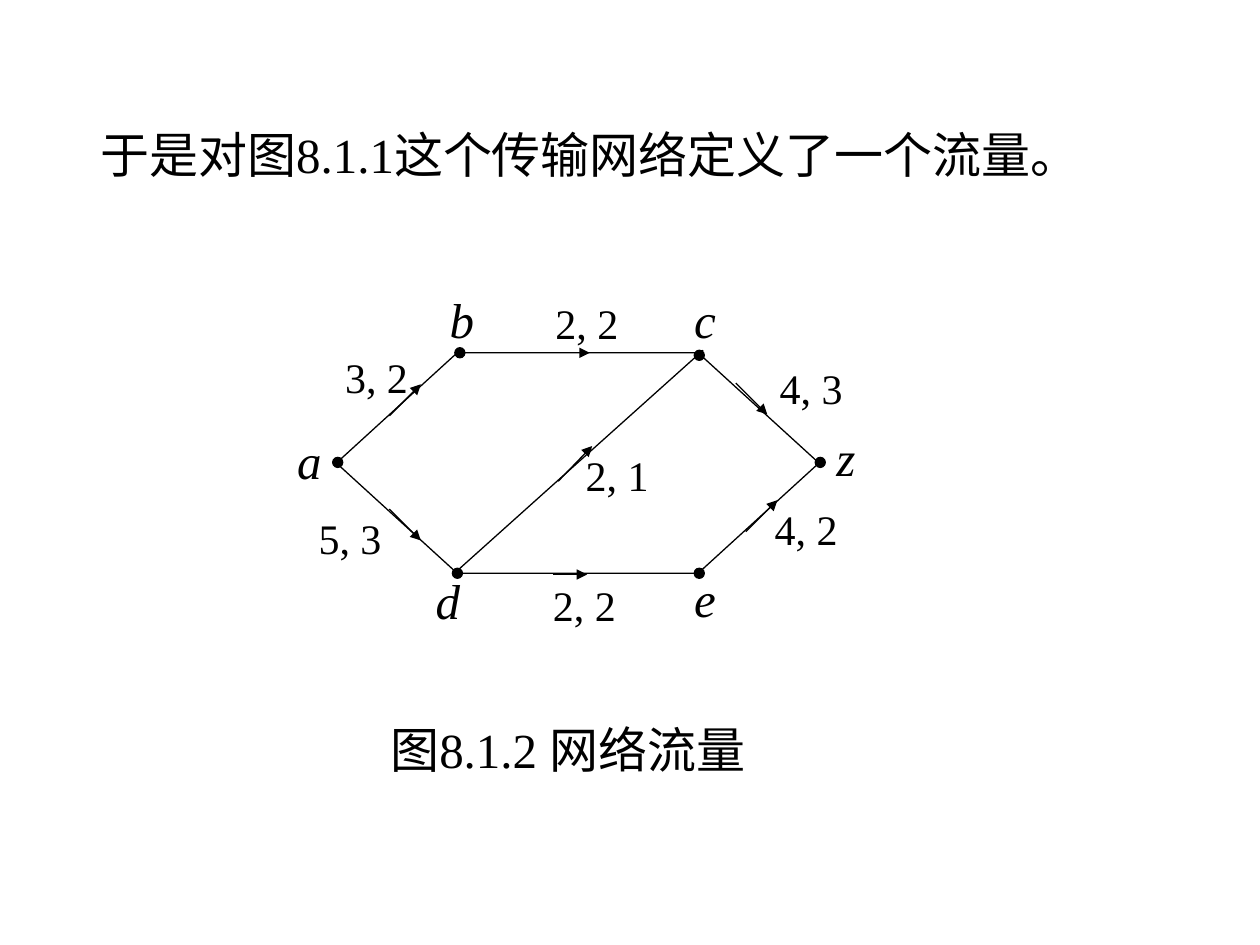
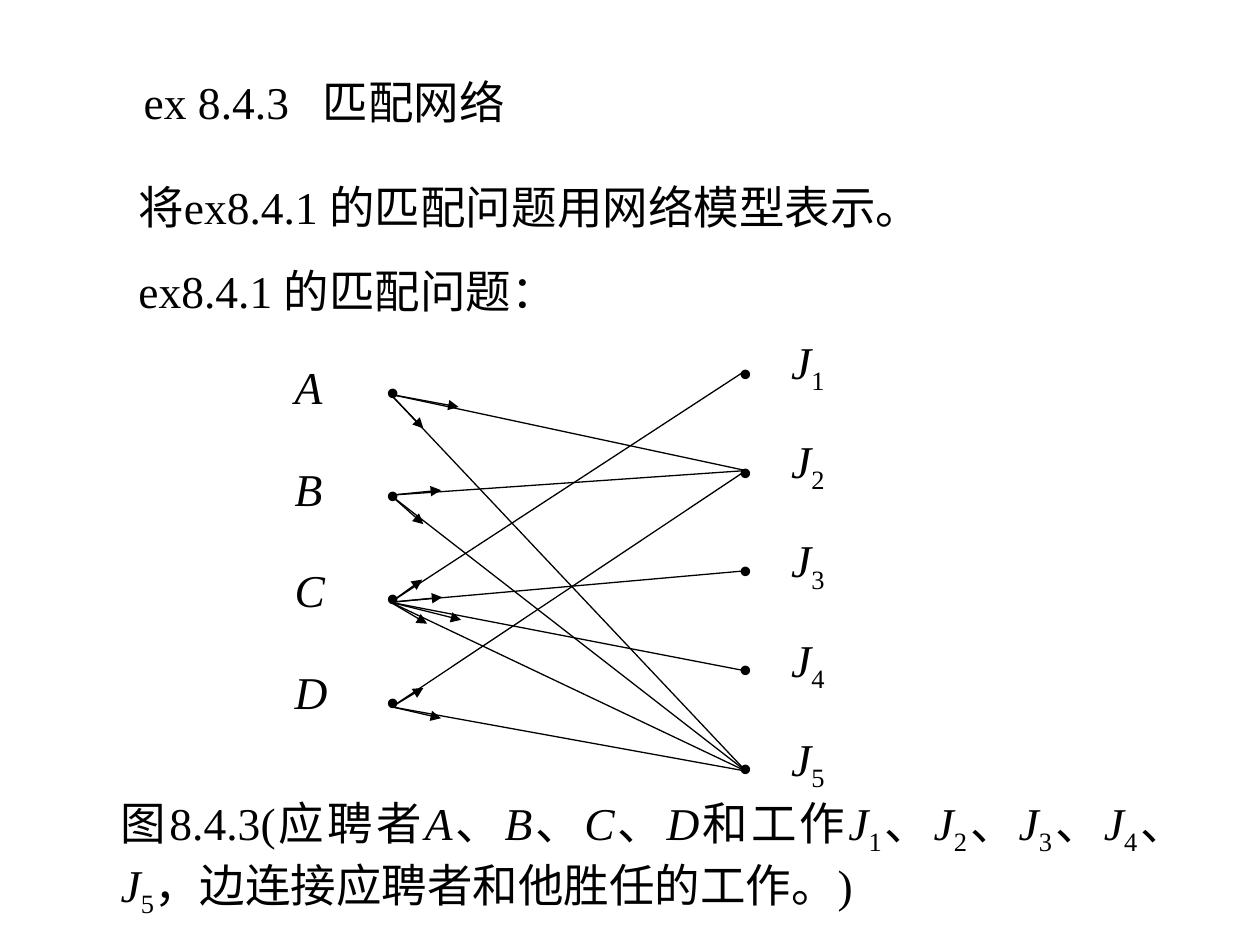
from lxml.etree import SubElement
from pptx import Presentation
from pptx.dml.color import RGBColor
from pptx.enum.shapes import MSO_CONNECTOR, MSO_SHAPE
from pptx.enum.text import MSO_ANCHOR, MSO_AUTO_SIZE, PP_ALIGN
from pptx.oxml.ns import qn
from pptx.util import Inches, Pt

COLORS = {"ink": "000000", "paper": "FFFFFF"}
FONT = "Times New Roman"
COLUMNS, ROWS = 100, 75
TITLE_ONLY, BLANK = 5, 6
COMMA = ("、", "plain")


def color(name):
    return RGBColor.from_string(COLORS[name])


def write(frame, text, size=26, font=FONT, italic=False, align=PP_ALIGN.LEFT,
          wrap=True, tab=None):
    """Fill a text frame with a string or with (text, style) pieces."""
    frame.word_wrap = wrap
    frame.auto_size = MSO_AUTO_SIZE.SHAPE_TO_FIT_TEXT
    frame.vertical_anchor = MSO_ANCHOR.TOP
    paragraph = frame.paragraphs[0]
    paragraph.alignment = align
    if tab:
        stops = SubElement(paragraph._p.get_or_add_pPr(), qn("a:tabLst"))
        SubElement(stops, qn("a:tab"), pos=str(Inches(tab)), algn="l")
    pieces = [(text, "italic" if italic else "plain")] if isinstance(text, str) else text
    for words, style in pieces:
        run = paragraph.add_run()
        run.text = words
        run.font.name, run.font.size = font, Pt(size)
        run.font.italic = style == "italic"
        run.font.color.rgb = color("ink")
        if style == "subscript":
            run._r.get_or_add_rPr().set("baseline", "-25000")


class Deck:
    """Holds the style and the current slide; lengths are columns and rows."""

    def __init__(self):
        self.presentation = Presentation()
        self.presentation.slide_width = Inches(10)
        self.presentation.slide_height = Inches(7.5)
        self.column = self.presentation.slide_width / COLUMNS
        self.row = self.presentation.slide_height / ROWS
        self.slide = None

    def place(self, *lengths):
        return [round(length * unit)
                for length, unit in zip(lengths, (self.column, self.row) * 2)]

    def add_slide(self, layout):
        self.slide = self.presentation.slides.add_slide(
            self.presentation.slide_layouts[layout])
        fill = self.slide.background.fill
        fill.solid()
        fill.fore_color.rgb = color("paper")

    def title(self, text, box, **style):
        shape = self.slide.shapes.title
        shape.left, shape.top, shape.width, shape.height = self.place(*box)
        write(shape.text_frame, text, **style)

    def text(self, text, box, **style):
        shape = self.slide.shapes.add_textbox(*self.place(*box))
        write(shape.text_frame, text, **style)

    def shape(self, kind, box, filled=False):
        shape = self.slide.shapes.add_shape(kind, *self.place(*box))
        shape.shadow.inherit = False
        if filled:
            shape.fill.solid()
            shape.fill.fore_color.rgb = color("ink")
        else:
            shape.fill.background()
        self.outline(shape)
        return shape

    def dot(self, center, size=0.8):
        x, y = center
        self.shape(MSO_SHAPE.OVAL, (x - size / 2, y - size / 2, size, size), filled=True)

    def line(self, start, end, arrow=False):
        connector = self.slide.shapes.add_connector(
            MSO_CONNECTOR.STRAIGHT, *self.place(*start, *end))
        self.outline(connector)
        if arrow:
            SubElement(connector.line._get_or_add_ln(), qn("a:tailEnd"), type="triangle")
        SubElement(connector._element.spPr, qn("a:effectLst"))

    @staticmethod
    def outline(shape):
        shape.line.color.rgb = color("ink")
        shape.line.width = Pt(0.75)


def job(number):
    return [("J", "italic"), (str(number), "subscript")]


def add_flow_slide(deck):
    deck.add_slide(BLANK)

    # Network outline and its diagonal
    network = deck.shape(MSO_SHAPE.HEXAGON, (26.7, 28, 38.3, 17.5))
    network.adjustments[0] = 0.548
    deck.line((36.4, 45.2), (55.8, 27.8))

    # Vertices: dot center, label corner
    vertices = {
        "a": ((26.8, 36.7), (22.6, 33.7)),
        "b": ((36.5, 28), (34.7, 22.5)),
        "c": ((55.5, 28.2), (54.1, 22.5)),
        "d": ((36.3, 45.5), (33.6, 44.8)),
        "e": ((55.5, 45.5), (54.1, 44.6)),
        "z": ((65.1, 36.7), (65.4, 33.4)),
    }
    for name, (center, corner) in vertices.items():
        deck.dot(center)
        deck.text(name, (*corner, 3.9, 5.7), size=28, italic=True, wrap=False)

    # Edges: capacity and flow, label corner, arrow start, arrow run
    up, down, across = (2.5, -2.5), (2.5, 2.5), (2.7, 0)
    edges = [
        ("3, 2", (26.4, 27.4), (30.9, 33), up),
        ("5, 3", (24.3, 40.2), (30.9, 40.4), down),
        ("2, 2", (43.1, 23.1), (44.1, 28), across),
        ("2, 1", (45.5, 35.2), (44.3, 38.2), (2.7, -2.8)),
        ("2, 2", (42.9, 45.5), (43.9, 45.6), across),
        ("4, 3", (60.9, 28.3), (58.4, 30.4), down),
        ("4, 2", (60.5, 39.5), (59.2, 42.2), up),
    ]
    for label, corner, (x, y), (run, rise) in edges:
        deck.line((x, y), (x + run, y + rise), arrow=True)
        deck.text(label, (*corner, 7, 5), size=24, wrap=False)

    # Statement and caption
    deck.text("于是对图8.1.1这个传输网络定义了一个流量。", (7, 9.4, 84.3, 5.7), size=28)
    deck.text("图8.1.2 网络流量", (30, 56.6, 32, 5.7), size=28, wrap=False)


def add_matching_slide(deck):
    deck.add_slide(TITLE_ONLY)

    # Heading and statements
    deck.title("ex 8.4.3\t匹配网络", (10.4, 5.4, 58.9, 5.4), tab=1.42)
    deck.text("将ex8.4.1 的匹配问题用网络模型表示。", (10, 13.7, 83.3, 5.4))
    deck.text("ex8.4.1 的匹配问题：", (10, 20.4, 83.3, 5.4))

    # Applicants on the left, jobs on the right
    applicants, jobs = "ABCD", range(1, 6)
    bullet = {"size": 20, "font": "Arial", "wrap": False}
    for index, name in enumerate(applicants):
        deck.text(name, (22.4, 28 + 8.07 * index, 5, 5.4), italic=True)
        deck.text("•", (29.7, 28.9 + 8.2 * index, 3.1, 4.4), **bullet)
    for index, number in enumerate(jobs):
        deck.text(job(number), (61.8, 26 + 7.88 * index, 7, 6))
        deck.text("•", (57.7, 27.4 + 7.83 * index, 3.1, 4.4), **bullet)

    # Edges: applicant, job, arrow tip
    starts = dict(zip(applicants, [(31, 31.3), (31, 39.3), (31, 47.8), (31.1, 56.1)]))
    edges = [
        ("A", 2, (36.4, 32.3)), ("A", 5, (33.6, 34)),
        ("B", 2, (35, 38.9)), ("B", 5, (33.6, 41.6)),
        ("C", 1, (33.5, 46)), ("C", 3, (35.1, 47.4)),
        ("C", 4, (36.6, 49.2)), ("C", 5, (33.9, 49.5)),
        ("D", 2, (33.6, 54.6)), ("D", 5, (35, 57)),
    ]
    for name, number, tip in edges:
        deck.line(starts[name], (59.2, 29.4 + 7.95 * (number - 1)))
        deck.line(starts[name], tip, arrow=True)

    # Caption
    caption = [("图8.4.3(应聘者", "plain")]
    for name in applicants:
        caption += [(name, "italic"), COMMA]
    caption[-1] = ("和工作", "plain")
    for number in jobs:
        caption += [*job(number), COMMA]
    caption[-1] = ("，边连接应聘者和他胜任的工作。)", "plain")
    deck.text(caption, (8.6, 62.6, 86.5, 10.9), align=PP_ALIGN.JUSTIFY)


def main():
    deck = Deck()
    add_flow_slide(deck)
    add_matching_slide(deck)
    deck.presentation.save("out.pptx")


if __name__ == "__main__":
    main()
